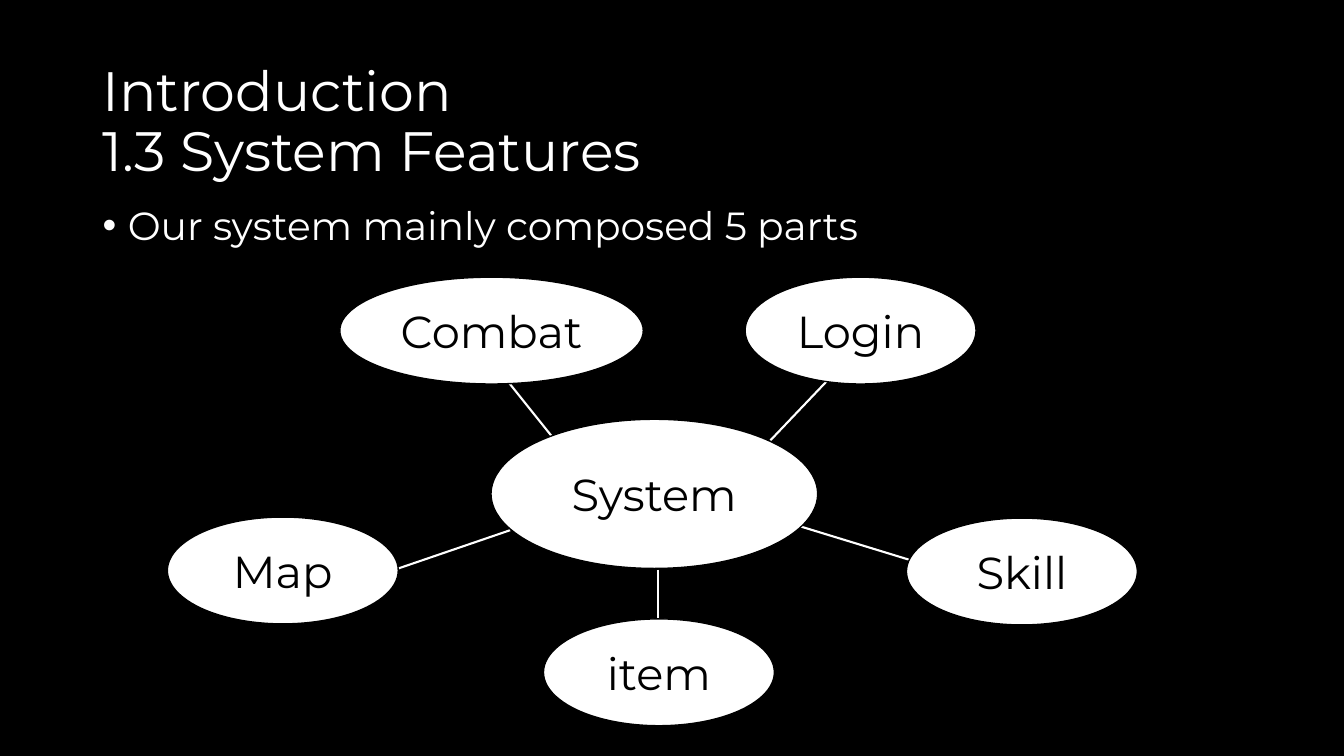
from lxml import etree
from pptx import Presentation
from pptx.dml.color import RGBColor
from pptx.enum.shapes import MSO_CONNECTOR, MSO_SHAPE
from pptx.enum.text import MSO_ANCHOR, PP_ALIGN
from pptx.oxml.ns import qn
from pptx.util import Inches, Pt

OVAL = MSO_SHAPE.OVAL
LINE = MSO_CONNECTOR.STRAIGHT
MIDDLE = MSO_ANCHOR.MIDDLE
CENTER = PP_ALIGN.CENTER
COLORS = {"black": "000000", "white": "FFFFFF"}
FONT = "Montserrat"
LEFT, WIDTH = 0.92, 11.5
PART_W, PART_H = 2.29, 1.06

# Name, left, top, width, height
NODES = [
    ("System", 4.87, 4.16, 3.24, 1.48),
    ("Combat", 3.37, 2.75, 3.01, PART_H),
    ("Login", 7.39, 2.75, PART_W, PART_H),
    ("Skill", 8.99, 5.14, PART_W, PART_H),
    ("Map", 1.66, 5.13, PART_W, PART_H),
    ("item", 5.39, 6.14, PART_W, PART_H),
]

# Start x, start y, end x, end y
LINKS = [
    (7.64, 4.37, 8.23, 3.75),
    (5.49, 4.35, 5.01, 3.75),
    (7.93, 5.22, 9.04, 5.56),
    (3.95, 5.64, 5.06, 5.26),
    (6.53, 5.65, 6.53, 6.15),
]


def color(name):
    return RGBColor.from_string(COLORS[name])


def style(frame, size, ink):
    for para in frame.paragraphs:
        for run in para.runs:
            run.font.name = FONT
            run.font.size = Pt(size)
            run.font.color.rgb = color(ink)


def add_text(slide, text, top, height, size):
    box = slide.shapes.add_textbox(
        Inches(LEFT), Inches(top), Inches(WIDTH), Inches(height))
    frame = box.text_frame
    frame.word_wrap = True
    frame.text = text
    for para in frame.paragraphs:
        para.line_spacing = 0.9
    style(frame, size, "white")
    return frame


def add_bullet(para):
    props = para._p.get_or_add_pPr()
    props.set("marL", str(Inches(0.25)))
    props.set("indent", str(Inches(-0.25)))
    font = etree.SubElement(props, qn("a:buFont"))
    font.set("typeface", "Arial")
    mark = etree.SubElement(props, qn("a:buChar"))
    mark.set("char", "•")


def add_link(slide, *ends):
    link = slide.shapes.add_connector(LINE, *map(Inches, ends))
    link.line.color.rgb = color("white")
    link.line.width = Pt(1.5)
    etree.SubElement(link._element.spPr, qn("a:effectLst"))


def add_node(slide, name, *place):
    node = slide.shapes.add_shape(OVAL, *map(Inches, place))
    node.shadow.inherit = False
    node.fill.solid()
    node.fill.fore_color.rgb = color("white")
    node.line.color.rgb = color("black")
    node.line.width = Pt(1)
    frame = node.text_frame
    frame.text = name
    frame.vertical_anchor = MIDDLE
    frame.paragraphs[0].alignment = CENTER
    style(frame, 32, "black")


def main():
    deck = Presentation()
    deck.slide_width, deck.slide_height = Inches(13.33), Inches(7.5)
    slide = deck.slides.add_slide(deck.slide_layouts[6])
    slide.background.fill.solid()
    slide.background.fill.fore_color.rgb = color("black")

    # Title, raised by a deep bottom margin
    title = add_text(
        slide, "Introduction\v1.3 System Features", 0.8, 1.45, 39.6)
    title.vertical_anchor = MIDDLE
    title.margin_bottom = Inches(0.65)

    # Lead point
    body = add_text(
        slide, "Our system mainly composed 5 parts", 2, 4.76, 28)
    body.paragraphs[0].space_before = Pt(10)
    add_bullet(body.paragraphs[0])

    # System map
    for link in LINKS:
        add_link(slide, *link)
    for node in NODES:
        add_node(slide, *node)

    deck.save("out.pptx")


if __name__ == "__main__":
    main()
